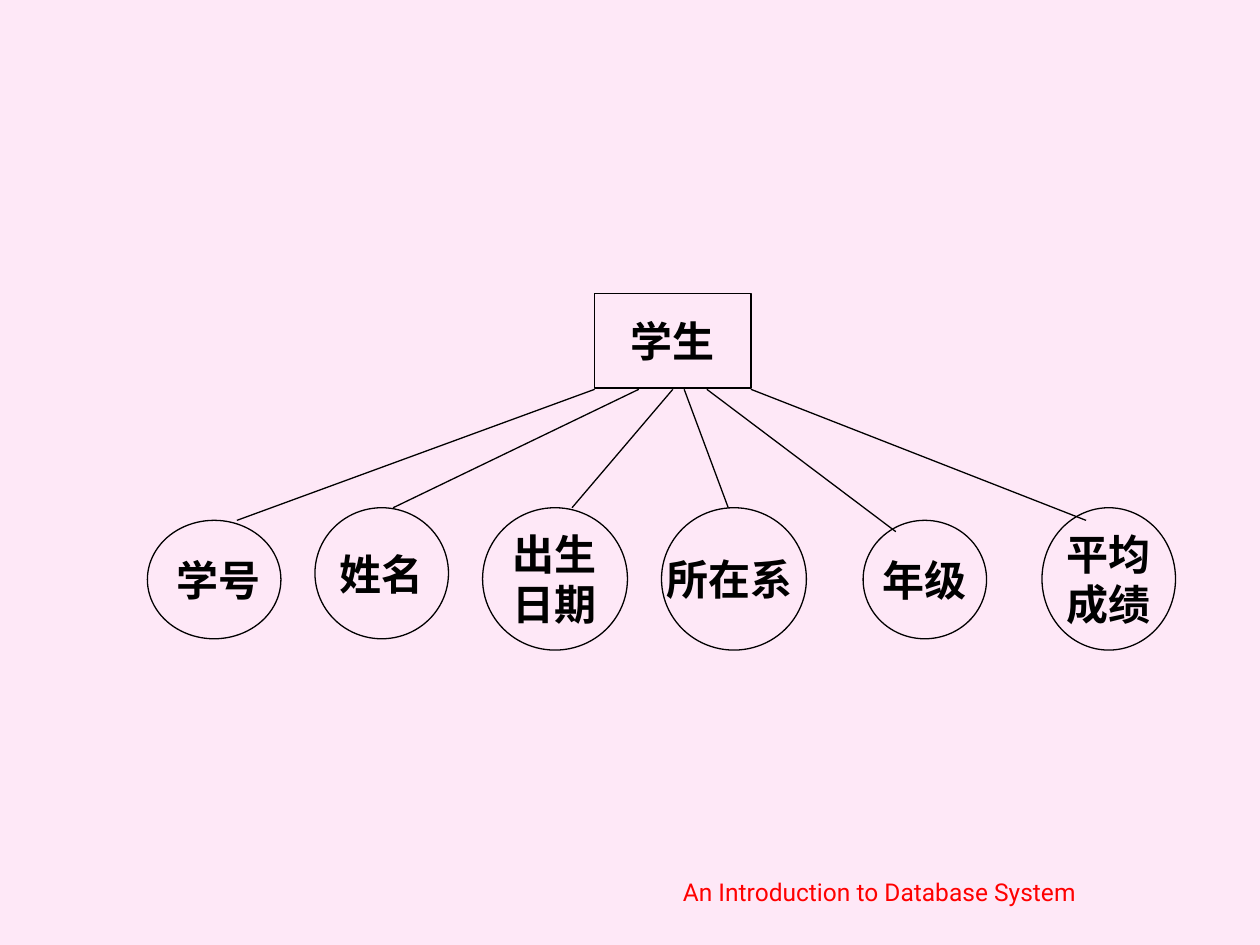
from lxml import etree
from pptx import Presentation
from pptx import util as u
from pptx.dml.color import RGBColor
from pptx.enum import shapes, text
from pptx.oxml import ns

PINK = RGBColor(0xFE, 0xE8, 0xF7)
BLACK = RGBColor(0, 0, 0)
RED = RGBColor(0xFF, 0, 0)

ENTITY_BOX = (4.72, 2.33, 1.24, 0.75)
ENTITY_BOTTOM = 3.09

# Label lines, ellipse box, link start x on the entity, link end point
ATTRIBUTES = [
    ([" 学号"], (1.17, 4.13, 1.06, 0.94), 4.72, (1.88, 4.13)),
    (["姓名"], (2.5, 4.03, 1.06, 1.04), 5.07, (3.12, 4.03)),
    (["出生", "日期"], (3.83, 4.03, 1.15, 1.13), 5.34, (4.54, 4.03)),
    (["所在系 "], (5.25, 4.03, 1.15, 1.13), 5.43, (5.78, 4.03)),
    (["年级"], (6.85, 4.13, 0.98, 0.94), 5.61, (7.11, 4.22)),
    (["平均", "成绩"], (8.27, 4.03, 1.06, 1.13), 5.96, (8.62, 4.13)),
]


def write_lines(frame, lines, font_name, size, color, bold=False):
    for number, line in enumerate(lines):
        paragraph = frame.paragraphs[0] if number == 0 else frame.add_paragraph()
        paragraph.alignment = text.PP_ALIGN.CENTER
        run = paragraph.add_run()
        run.text = line
        run.font.name = font_name
        run.font.size = u.Pt(size)
        run.font.bold = bold
        run.font.color.rgb = color


def add_node(slide, kind, box, lines):
    node = slide.shapes.add_shape(kind, *map(u.Inches, box))
    node.shadow.inherit = False
    node.fill.background()
    node.line.color.rgb = BLACK
    node.line.width = u.Pt(0.75)
    frame = node.text_frame
    frame.word_wrap = False
    frame.vertical_anchor = text.MSO_ANCHOR.MIDDLE
    write_lines(frame, lines, "Times New Roman", 24, BLACK, bold=True)


def add_link(slide, start, end):
    link = slide.shapes.add_connector(
        shapes.MSO_CONNECTOR.STRAIGHT, *map(u.Inches, start + end))
    link.line.color.rgb = BLACK
    link.line.width = u.Pt(0.75)
    etree.SubElement(link._element.spPr, ns.qn("a:effectLst"))


def add_footer(slide, label):
    footer = slide.shapes.add_textbox(*map(u.Inches, (4.37, 6.74, 5.22, 0.5)))
    frame = footer.text_frame
    frame.word_wrap = True
    frame.vertical_anchor = text.MSO_ANCHOR.BOTTOM
    write_lines(frame, [label], "Roboto", 14, RED)


def main():
    deck = Presentation()
    deck.slide_width, deck.slide_height = u.Inches(10), u.Inches(7.5)
    slide = deck.slides.add_slide(deck.slide_layouts[6])
    slide.background.fill.solid()
    slide.background.fill.fore_color.rgb = PINK

    # Entity
    add_node(slide, shapes.MSO_SHAPE.RECTANGLE, ENTITY_BOX, ["学生"])

    # Attributes, each linked to the entity
    for lines, box, start_x, link_end in ATTRIBUTES:
        add_node(slide, shapes.MSO_SHAPE.OVAL, box, lines)
        add_link(slide, (start_x, ENTITY_BOTTOM), link_end)

    # Footer
    add_footer(slide, "An Introduction to Database System")
    deck.save("out.pptx")


if __name__ == "__main__":
    main()
